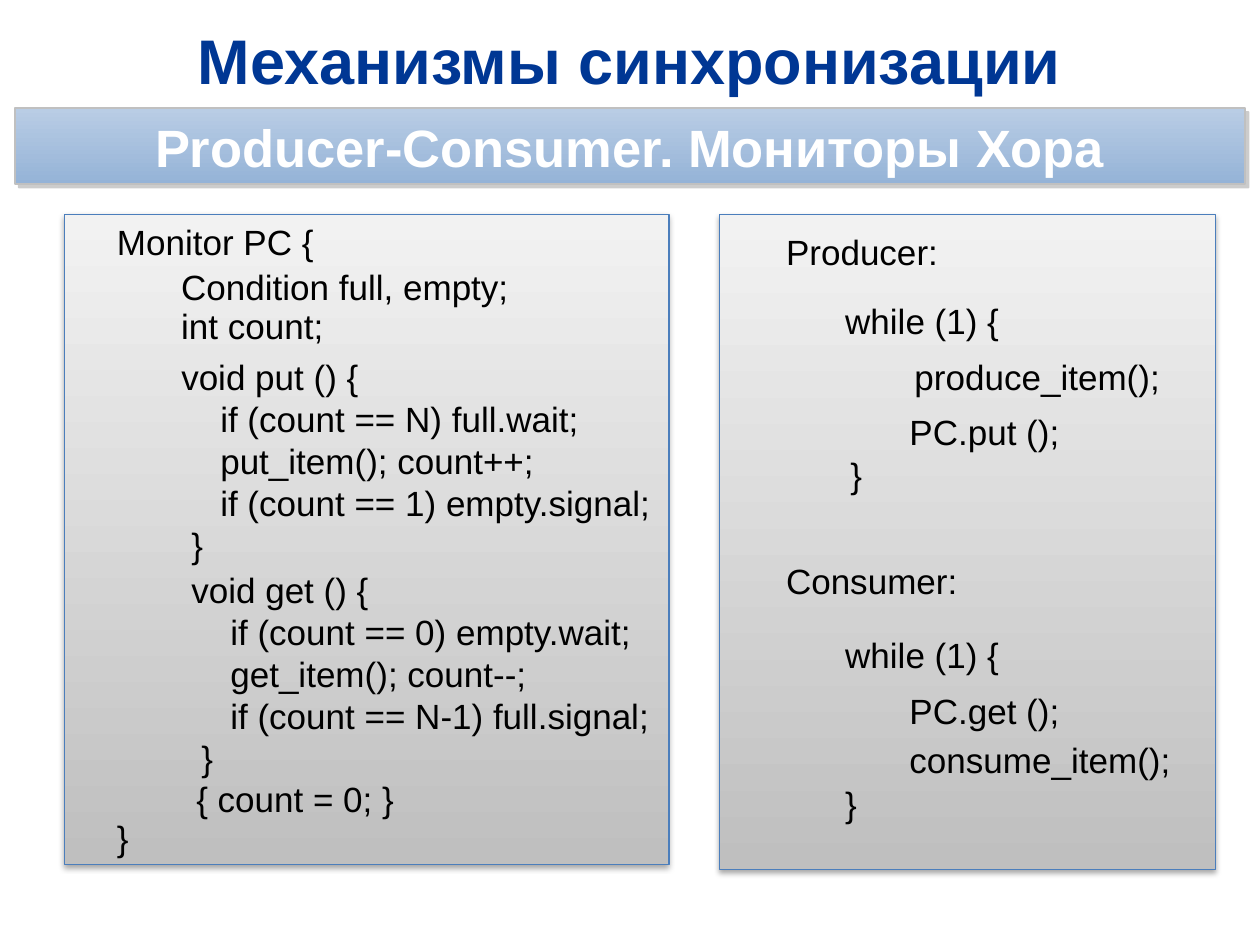
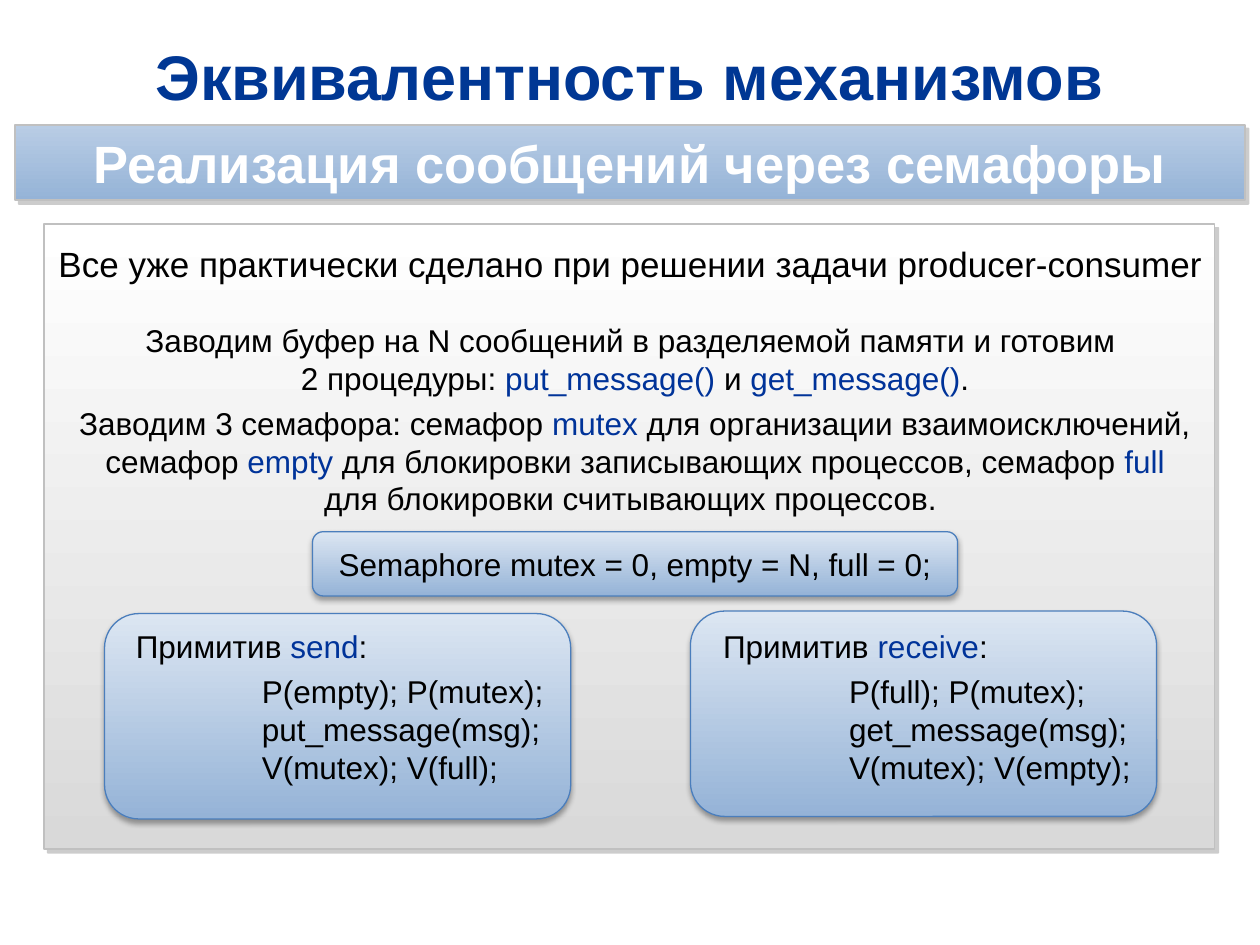
"""Build two slides on process synchronisation: Hoare monitors and messages over semaphores."""
from dataclasses import dataclass, field

from lxml import etree
from pptx import Presentation
from pptx.dml.color import RGBColor
from pptx.enum import shapes, text
from pptx.oxml import ns
from pptx.util import Inches, Pt


@dataclass(frozen=True)
class Theme:
    ink: str = "000000"
    accent: str = "003399"
    title: str = "003794"
    white: str = "FFFFFF"
    silver: str = "C0C0C0"
    edge: str = "4B7EBC"
    fills: dict = field(default_factory=lambda: {
        "band": ("B9CDE5", "95B3D7"),
        "code": ("F2F2F2", "BFBFBF"),
        "page": ("FFFFFF", "D9D9D9"),
        "card": ("DCE6F2", "95B3D7"),
    })
    shadows: dict = field(default_factory=lambda: {
        "hard": ("808080", 40, 0, 3, 45),
        "soft": ("000000", 35, 3.1, 1.8, 90),
    })
    fonts: dict = field(default_factory=lambda: {
        "title": {"name": "Arial", "size": Pt(36), "bold": True},
        "band": {"name": "Arial", "size": Pt(30), "bold": True},
        "code": {"name": "Arial", "size": Pt(20)},
        "body": {"name": "Arial", "size": Pt(18)},
    })


class Builder:
    def __init__(self, deck, theme):
        self.deck, self.theme, self.page = deck, theme, None

    def start(self, title, subtitle, top):
        self.page = self.deck.slides.add_slide(self.deck.slide_layouts[6])
        self.title, self.subtitle, self.top = title, subtitle, top

    def heading(self):
        theme = self.theme
        box = self.page.shapes.add_textbox(*map(Inches, (0.35, self.top, 9.29, 0.68)))
        self.put_lines(box, [self.title], "title", theme.title, centred=True, middle=True)
        band = self.panel((0.12, self.top + 0.73, 9.76, 0.6), "band", hard=True)
        self.put_lines(band, [self.subtitle], "band", theme.white, centred=True, middle=True)

    def panel(self, place, fill, hard=False, rounded=False):
        kind = shapes.MSO_SHAPE.ROUNDED_RECTANGLE if rounded else shapes.MSO_SHAPE.RECTANGLE
        box = self.page.shapes.add_shape(kind, *map(Inches, place))
        box.fill.gradient()
        box.fill.gradient_angle = 270
        for stop, colour in zip(box.fill.gradient_stops, self.theme.fills[fill]):
            stop.color.rgb = RGBColor.from_string(colour)
        box.line.color.rgb = RGBColor.from_string(self.theme.silver if hard else self.theme.edge)
        box.line.width = Pt(1 if hard else 0.75)
        self.shade(box, "hard" if hard else "soft")
        return box

    def shade(self, box, name):
        colour, alpha, blur, distance, angle = self.theme.shadows[name]
        box.shadow.inherit = False
        effects = box._element.spPr.find(ns.qn("a:effectLst"))
        values = {"blurRad": Pt(blur), "dist": Pt(distance), "dir": angle * 60000}
        outer = etree.SubElement(effects, ns.qn("a:outerShdw"), rotWithShape="0",
                                 **{key: str(int(value)) for key, value in values.items()})
        tint = etree.SubElement(outer, ns.qn("a:srgbClr"), val=colour)
        etree.SubElement(tint, ns.qn("a:alpha"), val=str(alpha * 1000))

    def label(self, place, lines, style="code", **options):
        box = self.page.shapes.add_textbox(*map(Inches, place))
        self.put_lines(box, lines, style, self.theme.ink, **options)

    def put_lines(self, box, lines, style, colour, centred=False, middle=False,
                  spacing=None, before=0, indents=()):
        frame = box.text_frame
        frame.word_wrap = True
        frame.vertical_anchor = text.MSO_ANCHOR.MIDDLE if middle else text.MSO_ANCHOR.TOP
        for number, line in enumerate(lines):
            para = frame.add_paragraph() if number else frame.paragraphs[0]
            formats = {
                "alignment": text.PP_ALIGN.CENTER if centred else text.PP_ALIGN.LEFT,
                "line_spacing": spacing,
                "space_before": Pt(before if number else 0),
            }
            for key, value in formats.items():
                setattr(para, key, value)
            if indents and indents[number]:
                para._p.get_or_add_pPr().set("marL", str(Inches(indents[number])))
            for order, part in enumerate(line.split("*")):
                self.spans(para, part, style, self.theme.accent if order % 2 else colour)

    def spans(self, para, part, style, colour):
        for number, piece in enumerate(part.split("\n")):
            if number:
                para.add_line_break()
            if piece:
                span = para.add_run()
                span.text = piece
                for key, value in self.theme.fonts[style].items():
                    setattr(span.font, key, value)
                span.font.color.rgb = RGBColor.from_string(colour)


def monitors(builder):
    builder.start("Механизмы синхронизации", "Producer-Consumer. Мониторы Хора", 0.13)
    builder.panel((5.71, 1.7, 3.94, 5.2), "code")
    builder.panel((0.51, 1.7, 4.8, 5.16), "code")
    builder.heading()
    statements = [
        (0.83, 1.7, "Monitor PC {"),
        (1.34, 2.06, "Condition full, empty;"),
        (1.34, 2.37, "int count;"),
        (1.46, 6.12, "{ count = 0; }"),
        (0.83, 6.43, "}"),
        (6.14, 1.78, "Producer:"),
        (6.61, 2.33, "while (1) {"),
        (7.16, 2.77, "produce_item();"),
        (7.12, 3.21, "PC.put ();"),
        (6.65, 3.55, "}"),
        (6.14, 4.39, "Consumer:"),
        (6.61, 4.98, "while (1) {"),
        (7.12, 5.42, "PC.get ();"),
        (7.12, 5.81, "consume_item();"),
        (6.61, 6.16, "}"),
    ]
    for left, top, statement in statements:
        builder.label((left, top, 2.8, 0.43), [statement])
    procedures = [
        (1.34, 2.77, ["void put () {", "if (count == N) full.wait;", "put_item(); count++;",
                      "if (count == 1) empty.signal;", "}"]),
        (1.42, 4.46, ["void get () {", "if (count == 0) empty.wait;", "get_item(); count--;",
                      "if (count == N-1) full.signal;", "}"]),
    ]
    for left, top, lines in procedures:
        builder.label((left, top, 4.92, 1.77), lines, indents=(0, 0.31, 0.31, 0.31, 0.08))


def messages(builder):
    builder.start("Эквивалентность механизмов", "Реализация сообщений через семафоры", 0.26)
    builder.panel((0.35, 1.78, 9.29, 4.96), "page", hard=True)
    builder.panel((2.48, 4.22, 5.12, 0.51), "card", rounded=True)
    builder.heading()
    builder.label((0.2, 1.94, 9.61, 0.37),
                  ["Все уже практически сделано при решении задачи producer-consumer"],
                  centred=True, spacing=0.8)
    builder.label((0.51, 2.5, 9.06, 1.68), [
        "Заводим буфер на N сообщений в разделяемой памяти и готовим \n"
        "2 процедуры: *put_message() *и *get_message()*.",
        "Заводим 3 семафора: семафор *mutex *для организации взаимоисключений, "
        "семафор *empty* для блокировки записывающих процессов, "
        "семафор *full* для блокировки считывающих процессов. ",
    ], "body", centred=True, before=4)
    builder.label((0.51, 4.28, 9.06, 0.4), ["Semaphore mutex = 0, empty = N, full = 0;"],
                  "body", centred=True)
    primitives = [
        (0.83, 4.87, 0.98, "send", "P(empty); P(mutex);\nput_message(msg);\nV(mutex); V(full);"),
        (5.48, 4.85, 5.64, "receive", "P(full); P(mutex);\nget_message(msg);\nV(mutex); V(empty);"),
    ]
    for left, top, text_left, name, code in primitives:
        builder.panel((left, top, 3.7, 1.63), "card", rounded=True)
        builder.label((text_left, 4.93, 3.7, 1.37), [f"Примитив *{name}*:", code],
                      "body", before=4, indents=(0, 1))


def main():
    deck = Presentation()
    deck.slide_width, deck.slide_height = Inches(10), Inches(7.5)
    builder = Builder(deck, Theme())
    monitors(builder)
    messages(builder)
    deck.save("out.pptx")


if __name__ == "__main__":
    main()
